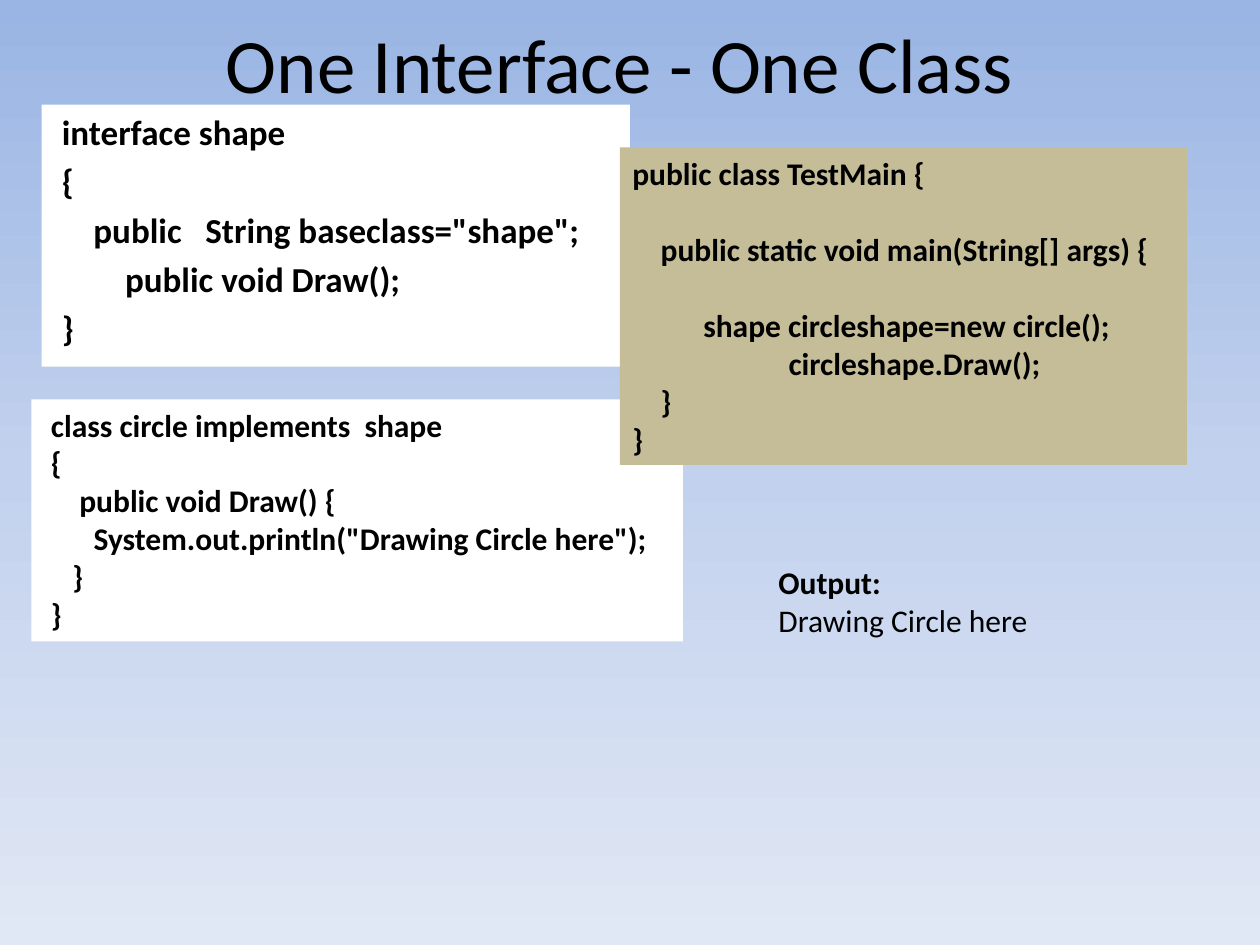
"""Build the slide that shows one interface implemented by one class."""

import copy
from dataclasses import dataclass
from typing import Optional

import pptx
import pptx.dml.color
import pptx.enum.text
import pptx.oxml.ns
import pptx.slide
import pptx.util

Inches = pptx.util.Inches
Pt = pptx.util.Pt
Color = pptx.dml.color.RGBColor.from_string
Align = pptx.enum.text.PP_ALIGN
Anchor = pptx.enum.text.MSO_ANCHOR


@dataclass(frozen=True)
class Theme:
    """Colours, font and type sizes of the slide."""

    font: str = "Calibri"
    ink: str = "000000"
    paper: str = "FFFFFF"
    sand: str = "C4BD97"
    sky: tuple[str, ...] = ("9AB5E4", "C2D1ED", "E1E8F5")
    title_size: int = 44
    interface_size: int = 20
    code_size: int = 18
    code_line: int = 22


THEME = Theme()


@dataclass(frozen=True)
class Line:
    """One paragraph with its weight and the gap above it."""

    text: str
    bold: bool = True
    gap: int = 0


@dataclass(frozen=True)
class Panel:
    """A block of text with its place and look."""

    left: float
    top: float
    width: float
    height: float
    lines: tuple[Line, ...]
    size: int = THEME.code_size
    fill: Optional[str] = None
    align: Align = Align.LEFT
    anchor: Anchor = Anchor.TOP


def code_lines(code: str, gap: int = 0) -> tuple[Line, ...]:
    """Split code into lines, turning each empty line into space above the next."""
    lines: list[Line] = []
    skipped = 0
    for text in code.strip("\n").split("\n"):
        if not text:
            skipped += THEME.code_line
            continue
        lines.append(Line(text, gap=skipped + (gap if lines else 0)))
        skipped = 0
    return tuple(lines)


INTERFACE_CODE = """
 interface shape
 {
     public   String baseclass="shape";
         public void Draw();
 }
"""

CLASS_CODE = """
 class circle implements  shape
 {
     public void Draw() {
       System.out.println("Drawing Circle here");
    }
 }
"""

MAIN_CODE = """
public class TestMain {

    public static void main(String[] args) {

          shape circleshape=new circle();
                      circleshape.Draw();
    }
}
"""

PANELS = (
    Panel(0.42, 0, 9, 1, (Line("One Interface - One Class", bold=False),),
          size=THEME.title_size, align=Align.CENTER, anchor=Anchor.MIDDLE),
    Panel(0.33, 0.83, 4.67, 2.08, code_lines(INTERFACE_CODE, gap=4),
          size=THEME.interface_size, fill=THEME.paper),
    Panel(0.25, 3.17, 5.17, 1.92, code_lines(CLASS_CODE), fill=THEME.paper),
    Panel(4.92, 1.17, 4.5, 2.52, code_lines(MAIN_CODE), fill=THEME.sand),
    Panel(6.08, 4.42, 2.2, 0.71,
          (Line("Output:"), Line("Drawing Circle here", bold=False))),
)


def paint_background(page: pptx.slide.Slide) -> None:
    """Fill the page with an evenly stepped gradient from top to bottom."""
    fill = page.background.fill
    fill.gradient()
    fill.gradient_angle = 270
    stop_list = page.element.find(".//" + pptx.oxml.ns.qn("a:gsLst"))
    stop_list.append(copy.deepcopy(stop_list[-1]))
    for index, (stop, color) in enumerate(zip(fill.gradient_stops, THEME.sky)):
        stop.position = index / (len(THEME.sky) - 1)
        stop.color.rgb = Color(color)


def draw_panel(page: pptx.slide.Slide, panel: Panel) -> None:
    """Draw one text panel on the page."""
    box = page.shapes.add_textbox(Inches(panel.left), Inches(panel.top),
                                  Inches(panel.width), Inches(panel.height))
    if panel.fill:
        box.fill.solid()
        box.fill.fore_color.rgb = Color(panel.fill)
    frame = box.text_frame
    frame.word_wrap = True
    frame.vertical_anchor = panel.anchor
    frame.text = "\n".join(line.text for line in panel.lines)
    for para, line in zip(frame.paragraphs, panel.lines):
        para.alignment = panel.align
        if line.gap:
            para.space_before = Pt(line.gap)
        for span in para.runs:
            span.font.name = THEME.font
            span.font.size = Pt(panel.size)
            span.font.bold = line.bold
            span.font.color.rgb = Color(THEME.ink)


def main() -> None:
    """Create the deck and save it."""
    deck = pptx.Presentation()
    deck.slide_width, deck.slide_height = Inches(10), Inches(7.5)
    page = deck.slides.add_slide(deck.slide_layouts[6])
    paint_background(page)
    for panel in PANELS:
        draw_panel(page, panel)
    deck.save("out.pptx")


if __name__ == "__main__":
    main()
